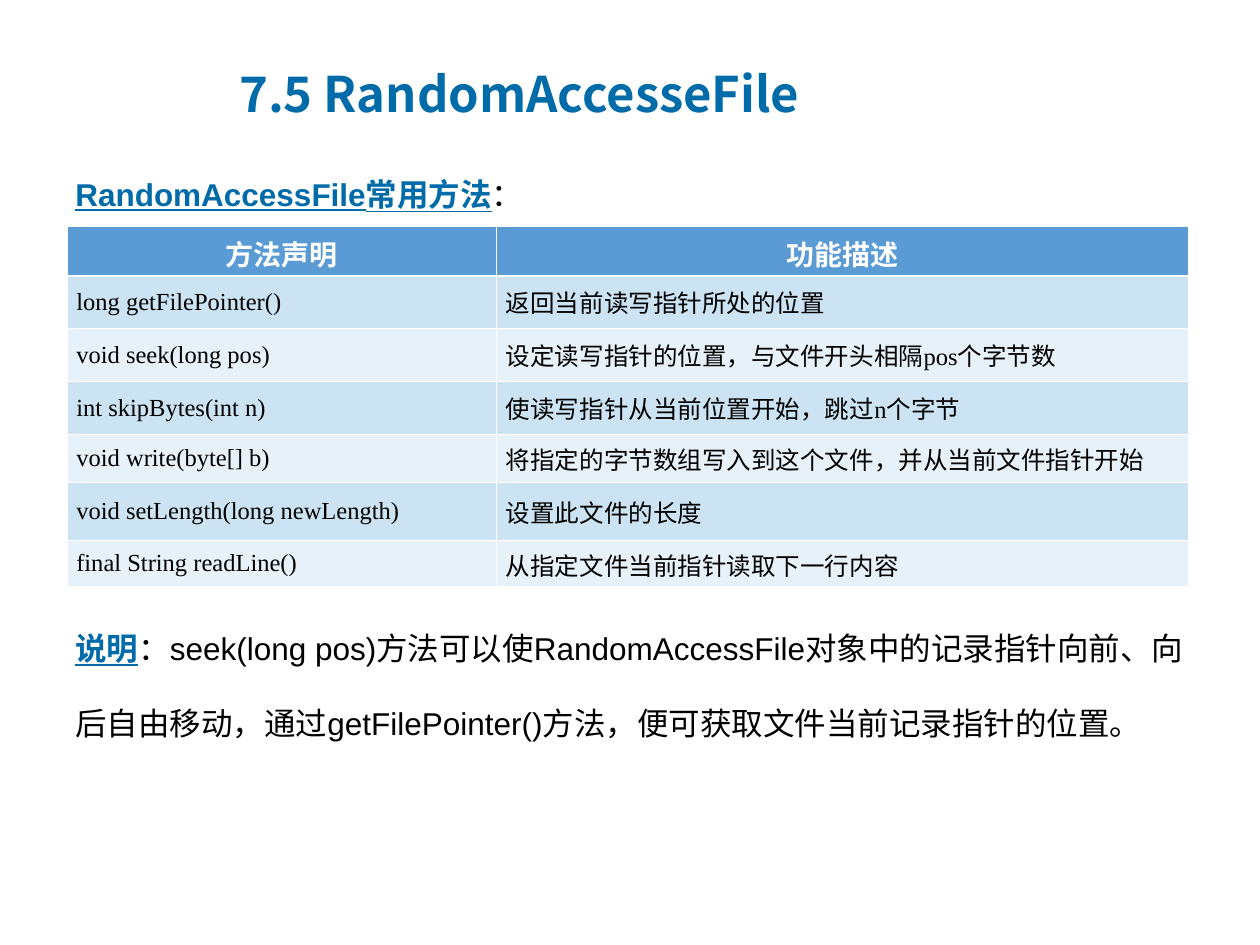
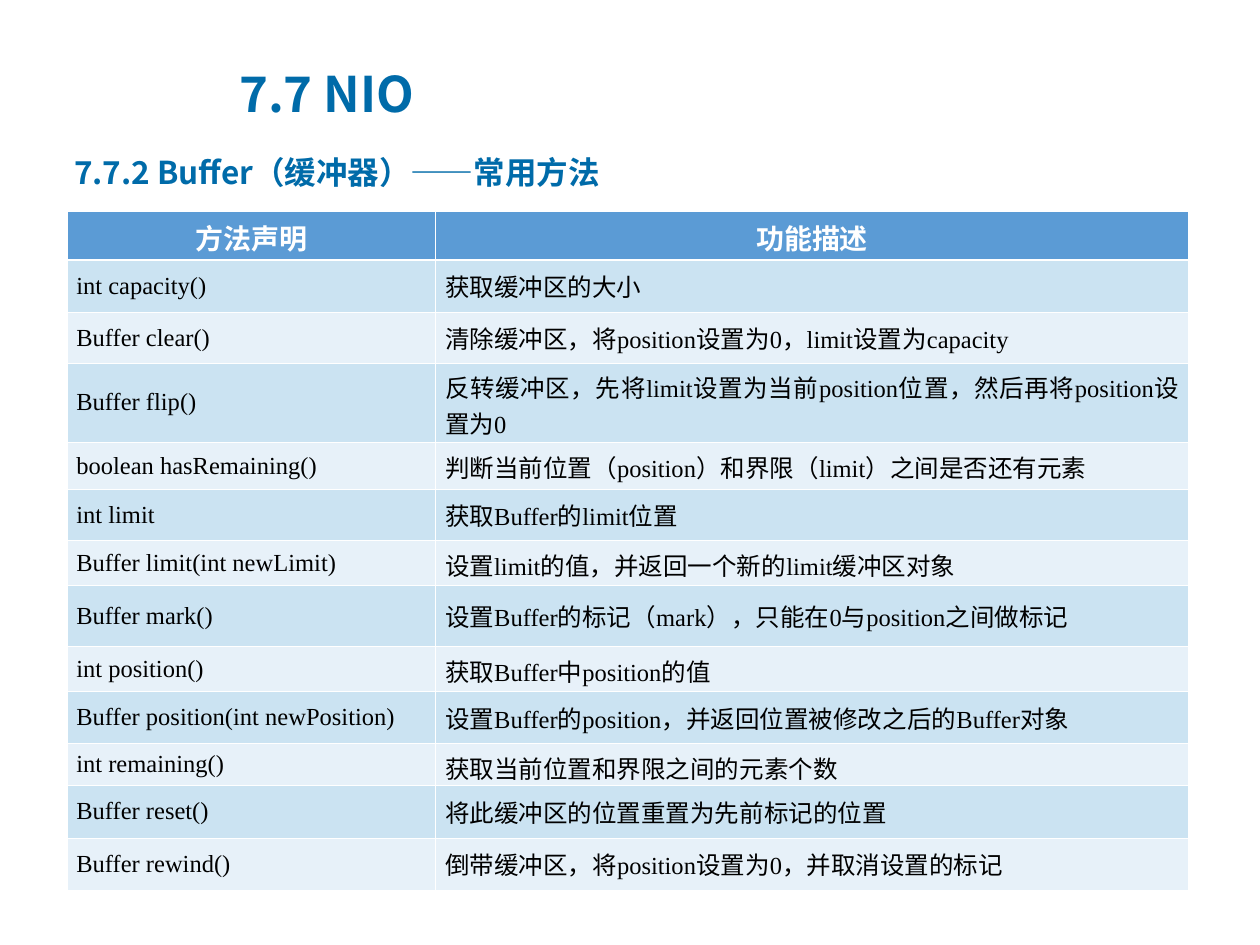
from dataclasses import dataclass

from lxml.etree import SubElement
from pptx import Presentation
from pptx.dml.color import RGBColor
from pptx.enum.text import MSO_ANCHOR as Anchor, PP_ALIGN as Align
from pptx.oxml.ns import qn
from pptx.util import Pt

BLUE = RGBColor(0x00, 0x6B, 0xA9)
HEAD = RGBColor(0x5B, 0x9B, 0xD5)
BANDS = (RGBColor(0xCB, 0xE3, 0xF2), RGBColor(0xE7, 0xF1, 0xF9))
WHITE = RGBColor(0xFF, 0xFF, 0xFF)
BLACK = RGBColor(0x00, 0x00, 0x00)
SANS, SERIF, NOTO, BODY = "Arial", "Times New Roman", "Noto Sans CJK SC", "Calibri"
THIN, THICK = 0.45, 1.47
LABELS = ("方法声明", "功能描述")


@dataclass(frozen=True)
class Box:
    left: float
    top: float
    width: float
    height: float


@dataclass(frozen=True)
class Grid:
    top: float
    cols: tuple[float, float]
    head: float
    rows: tuple[tuple[float, str, str], ...]


TITLE = Box(129.6, 31, 420, 44)
FILE = Grid(129.6, (245.5, 395.3), 28, (
    (30.2, "long getFilePointer()", "返回当前读写指针所处的位置"),
    (30.2, "void seek(long pos)", "设定读写指针的位置，与文件开头相隔pos个字节数"),
    (30.2, "int skipBytes(int n)", "使读写指针从当前位置开始，跳过n个字节"),
    (27.4, "void write(byte[] b)", "将指定的字节数组写入到这个文件，并从当前文件指针开始"),
    (33.5, "void setLength(long newLength)", "设置此文件的长度"),
    (26, "final String readLine()", "从指定文件当前指针读取下一行内容"),
))
BUFFER = Grid(120.6, (210.7, 430.3), 28, (
    (30, "int capacity()", "获取缓冲区的大小"),
    (28.8, "Buffer clear()", "清除缓冲区，将position设置为0，limit设置为capacity"),
    (45.4, "Buffer flip()", "反转缓冲区，先将limit设置为当前position位置，然后再将position设置为0"),
    (27, "boolean hasRemaining()", "判断当前位置（position）和界限（limit）之间是否还有元素"),
    (29, "int limit", "获取Buffer的limit位置"),
    (26, "Buffer limit(int newLimit)", "设置limit的值，并返回一个新的limit缓冲区对象"),
    (34.6, "Buffer mark()", "设置Buffer的标记（mark），只能在0与position之间做标记"),
    (26, "int position()", "获取Buffer中position的值"),
    (29.5, "Buffer position(int newPosition)", "设置Buffer的position，并返回位置被修改之后的Buffer对象"),
    (24, "int remaining()", "获取当前位置和界限之间的元素个数"),
    (30, "Buffer reset()", "将此缓冲区的位置重置为先前标记的位置"),
    (30, "Buffer rewind()", "倒带缓冲区，将position设置为0，并取消设置的标记"),
))


def write(para, text: str, *, size: float = 18, face: str = SANS, color=BLACK,
          bold: bool = False, under: bool = False) -> None:
    run = para.add_run()
    run.text = text
    font = run.font
    font.size, font.name, font.bold, font.underline = Pt(size), face, bold, under
    font.color.rgb = color


def add_text(slide, box: Box, anchor=Anchor.TOP, space: float = 1):
    """Add a wrapping text box and return its first paragraph."""
    shape = slide.shapes.add_textbox(Pt(box.left), Pt(box.top), Pt(box.width), Pt(box.height))
    frame = shape.text_frame
    frame.word_wrap = True
    frame.vertical_anchor = anchor
    para = frame.paragraphs[0]
    para.line_spacing = space
    return para


def add_title(slide, text: str) -> None:
    write(add_text(slide, TITLE, Anchor.MIDDLE), text, size=28, face=NOTO, color=BLUE, bold=True)


def add_edge(cell, side: str, width: float) -> None:
    props = cell._tc.get_or_add_tcPr()
    line = SubElement(props, qn(f"a:{side}"), w=str(Pt(width)))
    fill = SubElement(line, qn("a:solidFill"))
    SubElement(fill, qn("a:srgbClr"), val=str(WHITE))


def fill_cell(cell, text: str, row: int, col: int) -> None:
    head = row == 0
    widths = {"lnL": THIN, "lnR": THIN, "lnT": THICK if row == 1 else THIN,
              "lnB": THICK if head else THIN}
    for side, width in widths.items():
        add_edge(cell, side, width)
    cell.fill.solid()
    cell.fill.fore_color.rgb = HEAD if head else BANDS[(row - 1) % 2]
    cell.vertical_anchor = Anchor.MIDDLE
    cell.margin_left = cell.margin_right = Pt(5.4)
    cell.margin_top = cell.margin_bottom = Pt(3.6)
    para = cell.text_frame.paragraphs[0]
    if head:
        para.alignment = Align.CENTER
        write(para, text, size=16, face=BODY, color=WHITE, bold=True)
    else:
        para.alignment = Align.JUSTIFY if col else Align.LEFT
        write(para, text, size=14, face=SERIF)


def add_grid(slide, grid: Grid) -> None:
    rows = ((grid.head, *LABELS), *grid.rows)
    frame = slide.shapes.add_table(len(rows), len(grid.cols), Pt(38.2), Pt(grid.top),
                                   Pt(sum(grid.cols)), Pt(sum(row[0] for row in rows)))
    table = frame.table
    for col, width in enumerate(grid.cols):
        table.columns[col].width = Pt(width)
    for i, (height, *texts) in enumerate(rows):
        table.rows[i].height = Pt(height)
        for col, text in enumerate(texts):
            fill_cell(table.cell(i, col), text, i, col)


def draw_file(slide) -> None:
    add_title(slide, "7.5 RandomAccesseFile")
    lead = add_text(slide, Box(36, 75, 648, 54), space=2)
    write(lead, "RandomAccessFile常用方法", color=BLUE, bold=True, under=True)
    write(lead, "：")
    add_grid(slide, FILE)
    note = add_text(slide, Box(36, 334, 648, 140), space=2)
    write(note, "说明", color=BLUE, bold=True, under=True)
    write(note, "：", face=BODY)
    write(note, "seek(long pos)方法可以使RandomAccessFile对象中的记录指针向前、向后自由移动，"
                "通过getFilePointer()方法，便可获取文件当前记录指针的位置。")


def draw_buffer(slide) -> None:
    add_title(slide, "7.7 NIO")
    lead = add_text(slide, Box(35.3, 84, 648, 36))
    write(lead, "7.7.2 Buffer（缓冲器）——常用方法", face=NOTO, color=BLUE, bold=True)
    add_grid(slide, BUFFER)


def main() -> None:
    deck = Presentation()
    deck.slide_width, deck.slide_height = Pt(720), Pt(540)
    for draw in (draw_file, draw_buffer):
        draw(deck.slides.add_slide(deck.slide_layouts[6]))
    deck.save("out.pptx")


if __name__ == "__main__":
    main()
